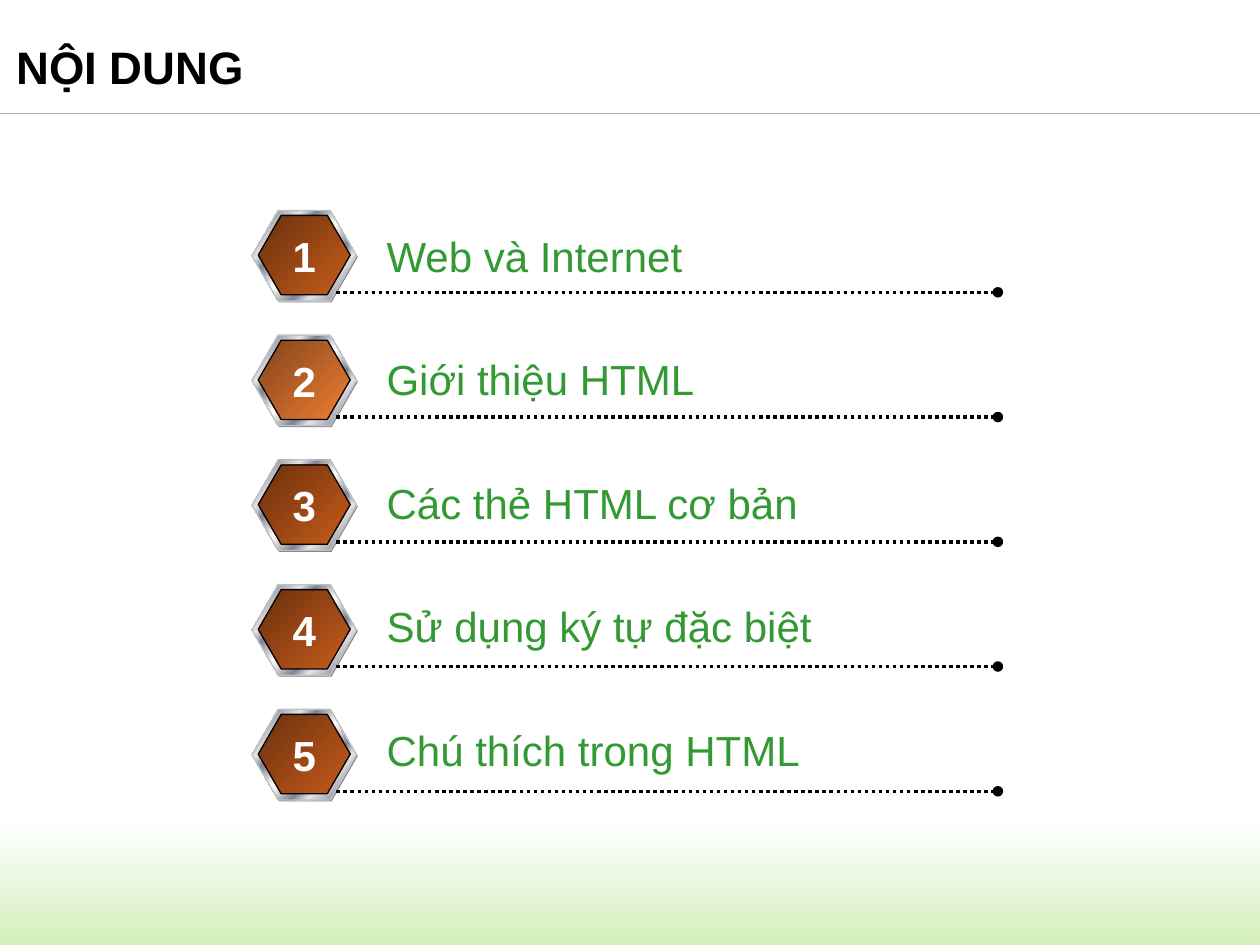
import pptx
import pptx.util
import pptx.oxml
import pptx.oxml.ns
import pptx.dml.color
import pptx.enum.dml
import pptx.enum.shapes
import pptx.enum.text

Inches, Pt = pptx.util.Inches, pptx.util.Pt
SHAPE = pptx.enum.shapes.MSO_SHAPE

# Content: topics with the width of their label, in inches
TITLE = "NỘI DUNG"
TOPICS = [
    ("Web và Internet", 2.57),
    ("Giới thiệu HTML", 2.67),
    ("Các thẻ HTML cơ bản", 3.5),
    ("Sử dụng ký tự đặc biệt", 3.61),
    ("Chú thích trong HTML", 3.51),
]
HIGHLIGHTED = 2

COLORS = {
    "black": "000000", "white": "FFFFFF", "topic": "339933",
    "rule": "B2B2B2", "shadow": "808080", "rim": "C0C0C0",
}
FOOTER = [(0, "FFFFFF"), (100, "D3EFBB")]
BROWN = [(0, "6A300E"), (100, "C85C1A")]
ORANGE = [(0, "80441C"), (100, "F07E33")]
LIGHT, STEEL = "E6E6E6", "7D8496"
METAL = [(0, LIGHT), (8, STEEL), (26, LIGHT), (34, STEEL), (46, LIGHT),
         (50, "FFFFFF"), (54, LIGHT), (66, STEEL), (74, LIGHT),
         (92, STEEL), (100, LIGHT)]

# First top and row pitch of each part, in inches
BADGE, LABEL, NUMBER, LEADER = (1.67, 0.99), (1.78, 0.98), (1.78, 0.99), (2.32, 0.99)


def rgb(name):
    return pptx.dml.color.RGBColor.from_string(COLORS[name])


def row_y(part, row):
    first, pitch = part
    return first + pitch * row


def set_gradient(sp, stops, angle):
    """Replace the fill with a linear gradient, angle clockwise."""
    sp.fill.background()
    gs = "".join(f'<a:gs pos="{pos * 1000}"><a:srgbClr val="{color}"/></a:gs>'
                 for pos, color in stops)
    grad = pptx.oxml.parse_xml(
        f'<a:gradFill {pptx.oxml.ns.nsdecls("a")} rotWithShape="1"><a:gsLst>{gs}</a:gsLst>'
        f'<a:lin ang="{angle * 60000}" scaled="0"/></a:gradFill>')
    sp_pr = sp._element.spPr
    sp_pr.replace(sp_pr.find(pptx.oxml.ns.qn("a:noFill")), grad)


def add_shape(shapes, kind, box, fill=None, stops=None, angle=45, line=None):
    sp = shapes.add_shape(kind, *map(Inches, box))
    sp.shadow.inherit = False
    if stops:
        set_gradient(sp, stops, angle)
    else:
        sp.fill.solid()
        sp.fill.fore_color.rgb = rgb(fill)
    if line:
        sp.line.color.rgb = rgb(line)
        sp.line.width = Pt(0.75)
    else:
        sp.line.fill.background()
    return sp


def add_line(shapes, x1, x2, y, color, width):
    line = shapes.add_connector(pptx.enum.shapes.MSO_CONNECTOR.STRAIGHT,
                                Inches(x1), Inches(y), Inches(x2), Inches(y))
    line.line.color.rgb = rgb(color)
    line.line.width = Pt(width)
    line._element.spPr.append(
        pptx.oxml.parse_xml(f'<a:effectLst {pptx.oxml.ns.nsdecls("a")}/>'))
    return line


def format_run(p, size, color, bold):
    font = p.runs[0].font
    font.name, font.size, font.bold = "Arial", Pt(size), bold
    font.color.rgb = rgb(color)


def add_text(shapes, box, text, color, bold=False, align=None):
    tf = shapes.add_textbox(*map(Inches, box)).text_frame
    tf.word_wrap = False
    tf.auto_size = pptx.enum.text.MSO_AUTO_SIZE.SHAPE_TO_FIT_TEXT
    tf.text = text
    tf.paragraphs[0].alignment = align
    format_run(tf.paragraphs[0], 24, color, bold)


def add_badge(shapes, top, stops):
    """Metal-rimmed hexagon."""
    group = shapes.add_group_shape().shapes
    layers = [
        ((2.01, top + 0.01, 0.83, 0.72), {"fill": "shadow"}),
        ((2, top, 0.83, 0.72), {"stops": METAL, "line": "rim"}),
        ((2.05, top + 0.04, 0.73, 0.63), {"stops": stops, "line": "black"}),
    ]
    for box, style in layers:
        sp = add_shape(group, SHAPE.HEXAGON, box, **style)
        sp.adjustments[0] = 0.289


def add_leader(shapes, y):
    """Dotted line ending in a dot."""
    line = add_line(shapes, 2.67, 7.92, y, "black", 2)
    line.line.dash_style = pptx.enum.dml.MSO_LINE.ROUND_DOT
    line.line._get_or_add_ln().append(
        pptx.oxml.parse_xml(f'<a:tailEnd {pptx.oxml.ns.nsdecls("a")} type="oval"/>'))


def main():
    prs = pptx.Presentation()
    prs.slide_width, prs.slide_height = Inches(10), Inches(7.5)
    s = prs.slides.add_slide(prs.slide_layouts[5])

    # Footer band and title rule
    add_shape(s.shapes, SHAPE.RECTANGLE, (-0.03, 6.53, 10.03, 0.97),
              stops=FOOTER, angle=90)
    add_line(s.shapes, 0, 10, 0.9, "rule", 0.75)

    # Title
    title = s.shapes.title
    title.left, title.top, title.width, title.height = map(
        Inches, (0.13, 0.31, 8.57, 0.71))
    tf = title.text_frame
    tf.text = TITLE
    tf.margin_left = tf.margin_right = 0
    tf.vertical_anchor = pptx.enum.text.MSO_ANCHOR.TOP
    p = tf.paragraphs[0]
    p.alignment = pptx.enum.text.PP_ALIGN.LEFT
    p.line_spacing = 0.9
    format_run(p, 26, "black", True)

    # Numbered topics
    for row, (topic, width) in enumerate(TOPICS):
        number = row + 1
        add_badge(s.shapes, row_y(BADGE, row),
                  ORANGE if number == HIGHLIGHTED else BROWN)
        add_leader(s.shapes, row_y(LEADER, row))
        add_text(s.shapes, (2.97, row_y(LABEL, row), width, 0.5), topic, "topic")
        add_text(s.shapes, (2.22, row_y(NUMBER, row), 0.39, 0.5), str(number),
                 "white", True, pptx.enum.text.PP_ALIGN.CENTER)

    prs.save("out.pptx")


if __name__ == "__main__":
    main()
